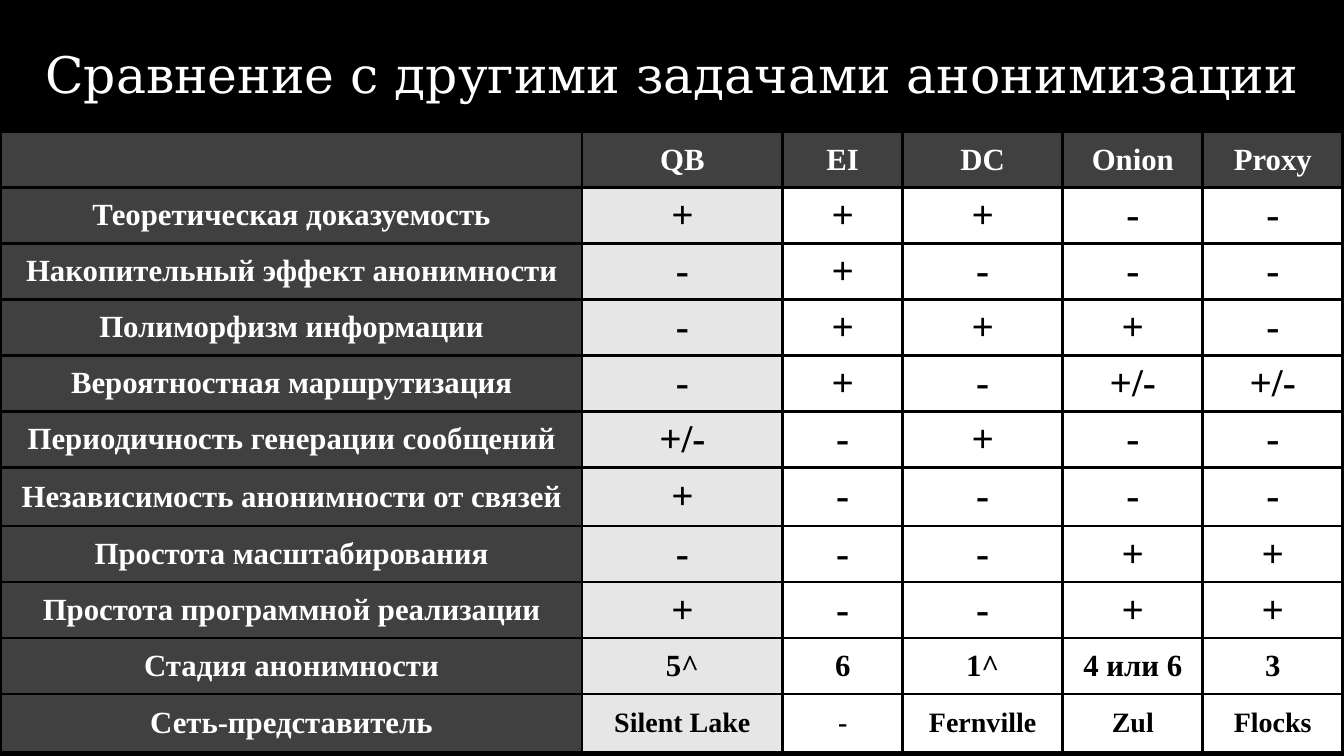
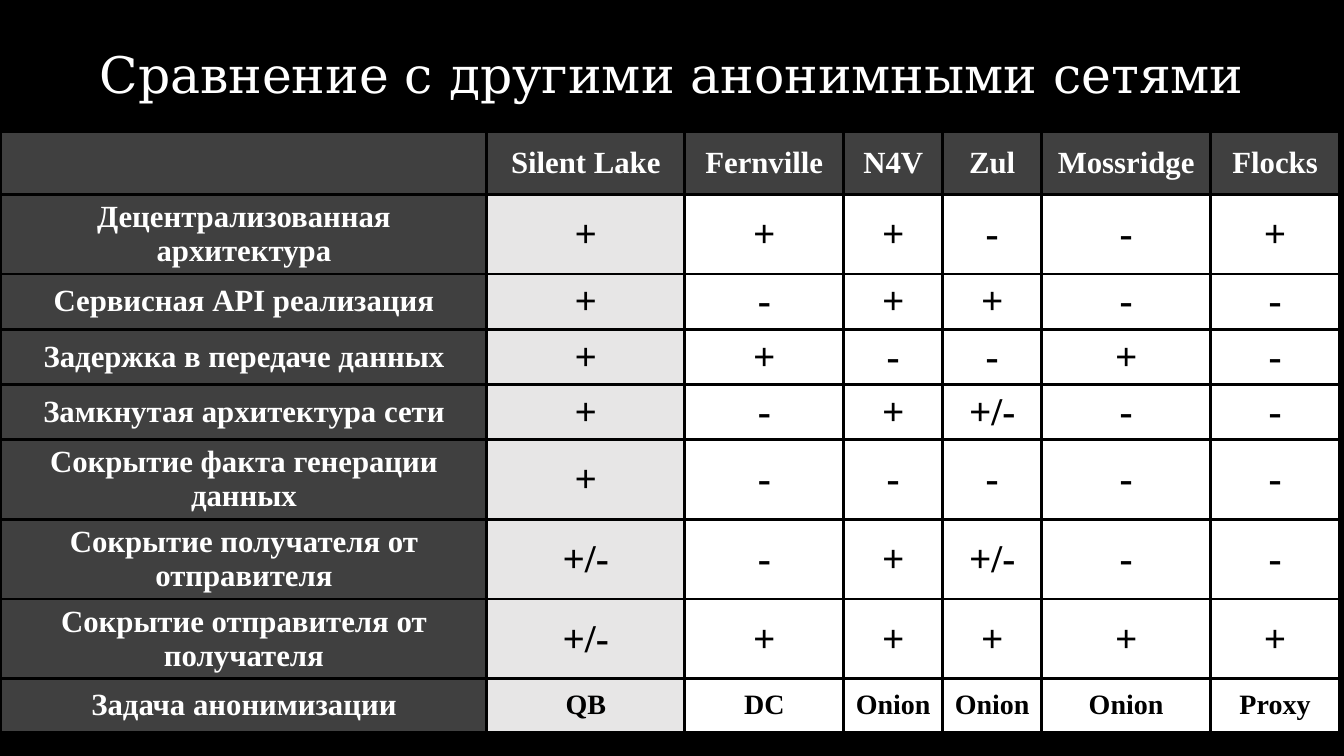
import pptx
import pptx.dml.color
import pptx.enum.text
import pptx.oxml.ns
import pptx.util
from lxml import etree

Pt = pptx.util.Pt
qn = pptx.oxml.ns.qn

BLACK, WHITE, DARK, LIGHT = "000000", "FFFFFF", "404040", "E7E6E6"
TITLE_FONT, TABLE_FONT = "DejaVu Serif", "Times New Roman"
MARKS = ("+", "-", "+/-")
TABLE_TOP = 94.3
BORDER_WIDTH = 2.25
CELL_MARGIN = 1.5

SLIDES = [
    {
        "title": "Сравнение с другими задачами анонимизации",
        "left": 0.7,
        "widths": [415, 143.5, 85.5, 114.5, 100, 100],
        "heights": [39.5] + [40] * 5 + [42] + [40] * 3 + [42],
        "rows": [
            ["", "QB", "EI", "DC", "Onion", "Proxy"],
            ["Теоретическая доказуемость", "+", "+", "+", "-", "-"],
            ["Накопительный эффект анонимности", "-", "+", "-", "-", "-"],
            ["Полиморфизм информации", "-", "+", "+", "+", "-"],
            ["Вероятностная маршрутизация", "-", "+", "-", "+/-", "+/-"],
            ["Периодичность генерации сообщений", "+/-", "-", "+", "-", "-"],
            ["Независимость анонимности от связей", "+", "-", "-", "-", "-"],
            ["Простота масштабирования", "-", "-", "-", "+", "+"],
            ["Простота программной реализации", "+", "-", "-", "+", "+"],
            ["Стадия анонимности", "5^", "6", "1^", "4 или 6", "3"],
            ["Сеть-представитель", "Silent Lake", "-", "Fernville", "Zul", "Flocks"],
        ],
    },
    {
        "title": "Сравнение с другими анонимными сетями",
        "left": 0.7,
        "widths": [347, 141.5, 113.5, 70.7, 70.7, 120.7, 92],
        "heights": [44.5, 57, 39.4, 39.4, 39.4, 57, 57, 57, 38],
        "rows": [
            ["", "Silent Lake", "Fernville", "N4V", "Zul", "Mossridge", "Flocks"],
            ["Децентрализованная архитектура", "+", "+", "+", "-", "-", "+"],
            ["Сервисная API реализация", "+", "-", "+", "+", "-", "-"],
            ["Задержка в передаче данных", "+", "+", "-", "-", "+", "-"],
            ["Замкнутая архитектура сети", "+", "-", "+", "+/-", "-", "-"],
            ["Сокрытие факта генерации данных", "+", "-", "-", "-", "-", "-"],
            ["Сокрытие получателя от отправителя", "+/-", "-", "+", "+/-", "-", "-"],
            ["Сокрытие отправителя от получателя", "+/-", "+", "+", "+", "+", "+"],
            ["Задача анонимизации", "QB", "DC", "Onion", "Onion", "Onion", "Proxy"],
        ],
    },
]


def rgb(value):
    return pptx.dml.color.RGBColor.from_string(value)


def write(tf, text, size, font, color=WHITE, bold=False, spacing=None):
    """Put one centred, formatted paragraph into a text frame."""
    p = tf.paragraphs[0]
    p.alignment = pptx.enum.text.PP_ALIGN.CENTER
    p.line_spacing = spacing
    if not text:
        return
    r = p.add_run()
    r.text = text
    r.font.size = Pt(size)
    r.font.name = font
    r.font.bold = bold
    r.font.color.rgb = rgb(color)


prs = pptx.Presentation()
prs.slide_width, prs.slide_height = Pt(960), Pt(540)

for content in SLIDES:
    s = prs.slides.add_slide(prs.slide_layouts[6])
    s.background.fill.solid()
    s.background.fill.fore_color.rgb = rgb(BLACK)

    title = s.shapes.add_textbox(Pt(0), Pt(32.4), Pt(960), Pt(43))
    title.text_frame.word_wrap = True
    write(title.text_frame, content["title"], 36, TITLE_FONT, spacing=0.9)

    rows, widths, heights = content["rows"], content["widths"], content["heights"]
    table = s.shapes.add_table(
        len(rows), len(widths), Pt(content["left"]), Pt(TABLE_TOP),
        Pt(sum(widths)), Pt(sum(heights))).table
    table.first_row = table.horz_banding = False
    for column, width in zip(table.columns, widths):
        column.width = Pt(width)
    for row, height in zip(table.rows, heights):
        row.height = Pt(height)

    for i, values in enumerate(rows):
        for j, text in enumerate(values):
            cell = table.cell(i, j)
            heading = i == 0 or j == 0
            if heading:
                size = 22
            elif i == len(rows) - 1:
                size = 20
            else:
                size = 28 if text in MARKS else 22
            write(cell.text_frame, text, size, TABLE_FONT,
                  color=WHITE if heading else BLACK, bold=True)
            cell.vertical_anchor = pptx.enum.text.MSO_ANCHOR.MIDDLE
            cell.margin_top = cell.margin_bottom = Pt(CELL_MARGIN)

            tcPr = cell._tc.get_or_add_tcPr()
            for side in ("a:lnL", "a:lnR", "a:lnT", "a:lnB"):
                ln = etree.SubElement(tcPr, qn(side), w=str(Pt(BORDER_WIDTH)))
                fill = etree.SubElement(ln, qn("a:solidFill"))
                etree.SubElement(fill, qn("a:srgbClr"), val=BLACK)
            cell.fill.solid()
            cell.fill.fore_color.rgb = rgb(
                DARK if heading else LIGHT if j == 1 else WHITE)

prs.save("out.pptx")
